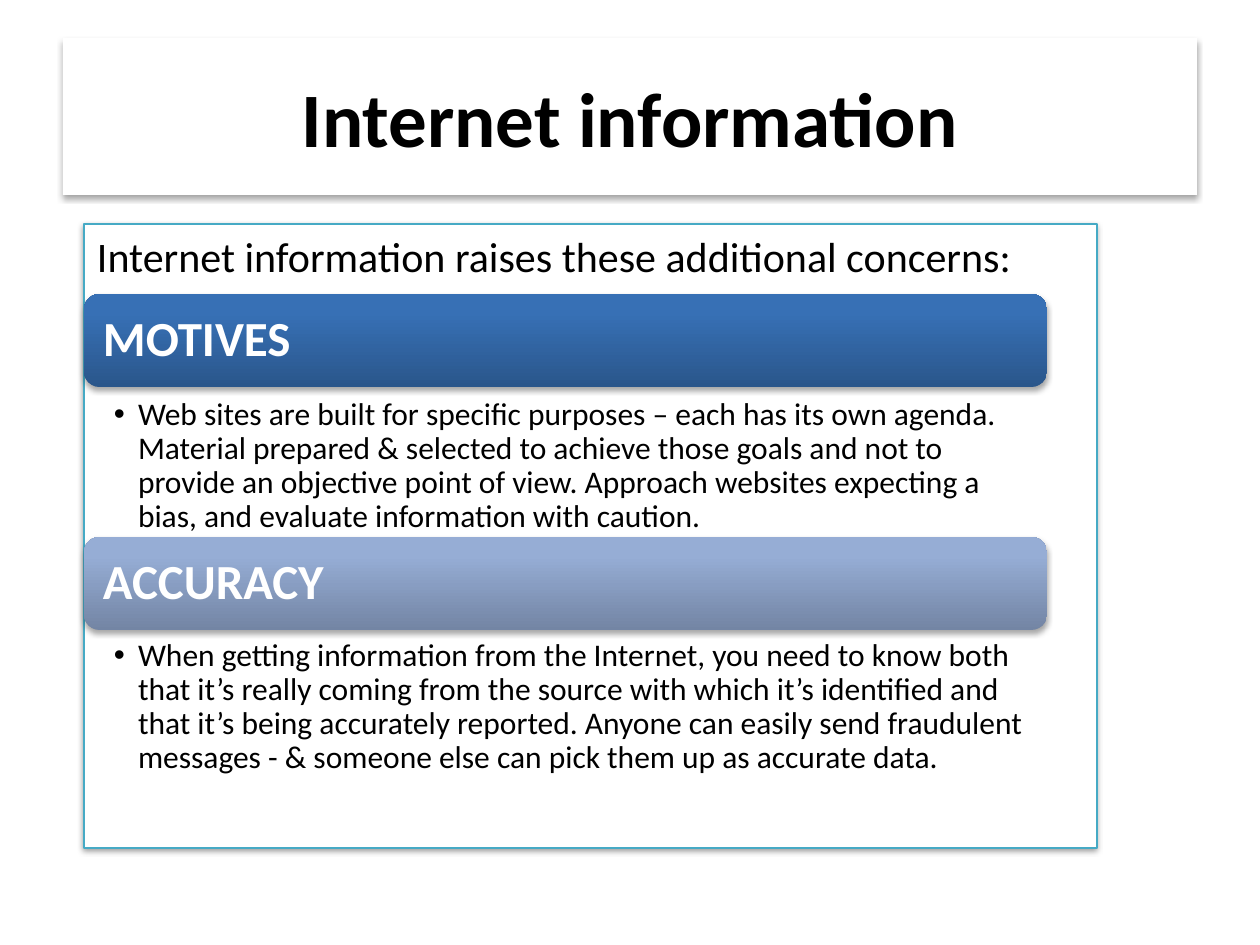
from lxml import etree
from pptx import Presentation
from pptx.dml.color import RGBColor
from pptx.enum.shapes import MSO_SHAPE
from pptx.enum.text import MSO_ANCHOR, PP_ALIGN
from pptx.oxml.ns import qn
from pptx.util import Pt

SCALE = 914400 / 126
RECT = MSO_SHAPE.RECTANGLE
ROUND = MSO_SHAPE.ROUNDED_RECTANGLE
TOP = MSO_ANCHOR.TOP
MIDDLE = MSO_ANCHOR.MIDDLE
LEFT = PP_ALIGN.LEFT
CENTER = PP_ALIGN.CENTER

WHITE = RGBColor(0xFF, 0xFF, 0xFF)
BLACK = RGBColor(0x00, 0x00, 0x00)
TEAL = RGBColor(0x46, 0xAA, 0xC5)
BLUES = (RGBColor(0x2A, 0x56, 0x8B), RGBColor(0x37, 0x70, 0xB5), RGBColor(0x35, 0x70, 0xB8))
GREYS = (RGBColor(0x73, 0x85, 0xA4), RGBColor(0x96, 0xAD, 0xD5), RGBColor(0x95, 0xAD, 0xD7))
STOPS = (0, 80, 100)

ROWS = (
    (294, 394, BLUES, "MOTIVES",
     "Web sites are built for specific purposes – each has its own agenda. "
     "Material prepared & selected to achieve those goals and not to provide "
     "an objective point of view. Approach websites expecting a bias, and "
     "evaluate information with caution."),
    (537, 635, GREYS, "ACCURACY",
     "When getting information from the Internet, you need to know both that "
     "it’s really coming from the source with which it’s identified and that "
     "it’s being accurately reported. Anyone can easily send fraudulent "
     "messages - & someone else can pick them up as accurate data."),
)


def px(n):
    return round(n * SCALE)


def add(parent, tag, **attrs):
    node = etree.SubElement(parent, qn(tag))
    for key, value in attrs.items():
        node.set(key, str(value))
    return node


def shade(shape, alpha, dist):
    shape.shadow.inherit = False
    effects = shape._element.spPr.find(qn("a:effectLst"))
    outer = add(effects, "a:outerShdw", blurRad=Pt(3.1), dist=Pt(dist),
                dir=5400000, rotWithShape=0)
    color = add(outer, "a:srgbClr", val=BLACK)
    add(color, "a:alpha", val=alpha * 1000)


def blend(shape, colors):
    shape.fill.gradient()
    shape.fill.gradient_angle = 90
    stops = shape._element.spPr.find(".//" + qn("a:gsLst"))
    for old in list(stops):
        stops.remove(old)
    for pos, color in zip(STOPS, colors):
        stop = add(stops, "a:gs", pos=pos * 1000)
        add(stop, "a:srgbClr", val=color)


def block(slide, kind, box, alpha, dist, line=None):
    shape = slide.shapes.add_shape(kind, *map(px, box))
    shape.fill.solid()
    shape.fill.fore_color.rgb = WHITE
    if line is None:
        shape.line.fill.background()
    else:
        shape.line.color.rgb = line
        shape.line.width = Pt(0.75)
    shade(shape, alpha, dist)
    return shape


def write(shape, text, size, color=BLACK, bold=False, anchor=TOP,
          align=LEFT, pads=(13, 6, 13, 6), bullet=False):
    frame = shape.text_frame
    frame.word_wrap = True
    frame.vertical_anchor = anchor
    (frame.margin_left, frame.margin_top,
     frame.margin_right, frame.margin_bottom) = map(px, pads)
    para = frame.paragraphs[0]
    para.text = text
    para.alignment = align
    if bullet:
        props = para._p.get_or_add_pPr()
        props.set("marL", str(px(24)))
        props.set("indent", str(-px(24)))
        add(props, "a:buFont", typeface="Arial")
        add(props, "a:buChar", char="•")
    font = para.font
    font.name = "Calibri"
    font.size = Pt(size)
    font.bold = bold
    font.color.rgb = color
    return para


def label(slide, box, text, size, **style):
    shape = slide.shapes.add_textbox(*map(px, box))
    write(shape, text, size, **style).line_spacing = 0.9


def topic(slide, top, below, colors, name, detail):
    bar = block(slide, ROUND, (84, top, 963, 93), 35, 1.8)
    blend(bar, colors)
    label(slide, (88, top + 5, 954, 83), name, 28, color=WHITE, bold=True,
          anchor=MIDDLE, pads=(15, 15, 15, 15))
    label(slide, (84, below, 963, 147), detail, 18,
          pads=(30, 4, 23, 4), bullet=True)


def main():
    deck = Presentation()
    deck.slide_width = px(1260)
    deck.slide_height = px(945)
    slide = deck.slides.add_slide(deck.slide_layouts[6])
    title = block(slide, RECT, (63, 38, 1134, 157), 35, 1.8)
    write(title, "Internet information", 44, bold=True,
          anchor=MIDDLE, align=CENTER)
    body = block(slide, RECT, (84, 224, 1013, 624), 38, 1.6, TEAL)
    write(body, "Internet information raises these additional concerns:", 24)
    for row in ROWS:
        topic(slide, *row)
    deck.save("out.pptx")


if __name__ == "__main__":
    main()
